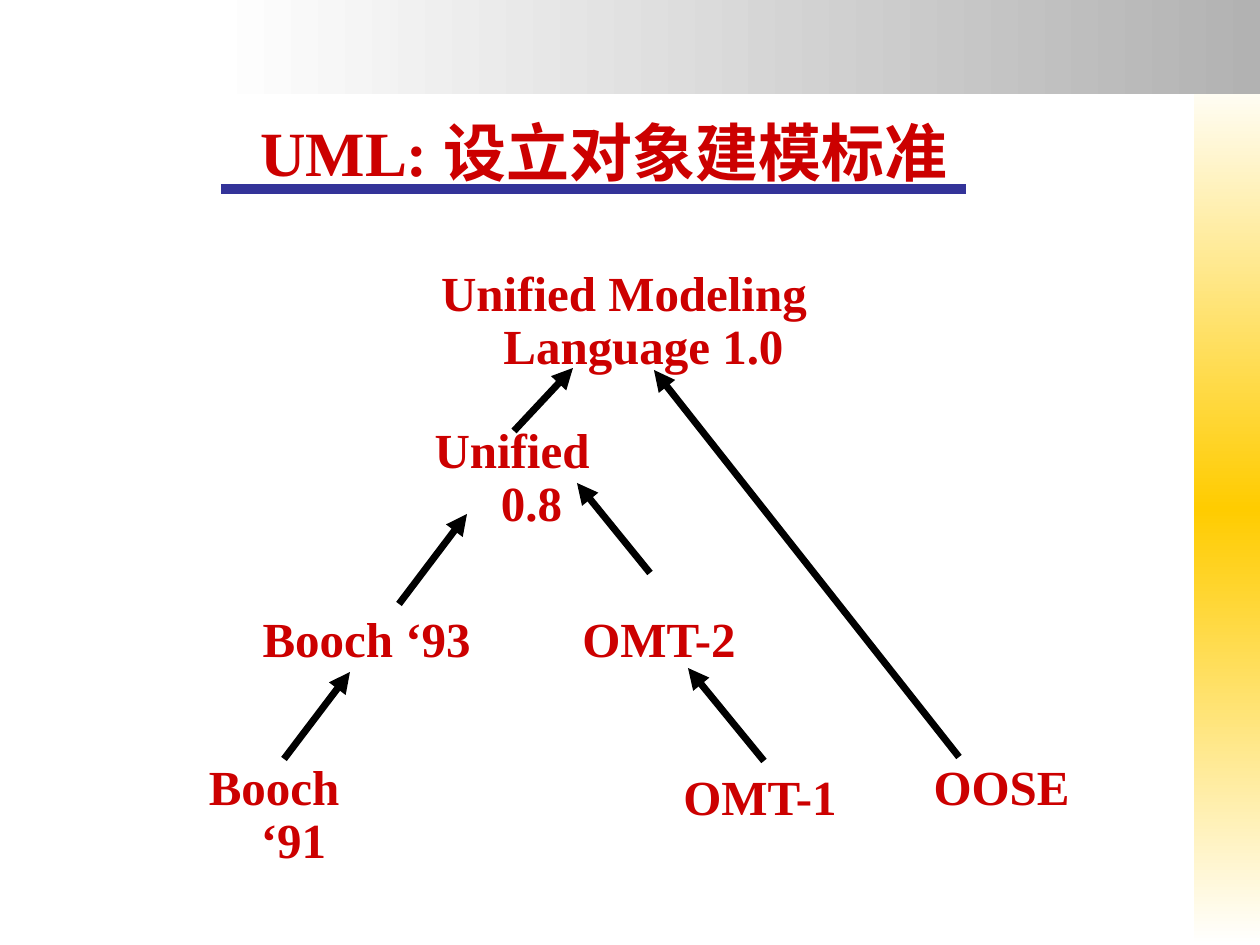
from typing import NamedTuple

from lxml.etree import SubElement
from pptx import Presentation
from pptx.dml.color import RGBColor
from pptx.enum.shapes import MSO_CONNECTOR as Connector, MSO_SHAPE as Preset
from pptx.enum.text import MSO_ANCHOR as Anchor, MSO_AUTO_SIZE as AutoSize, PP_ALIGN as Align
from pptx.oxml.ns import qn
from pptx.util import Emu, Pt

PX_PER_INCH = 126
RED, BLACK, WHITE = "CC0000", "000000", "FFFFFF"
GREY, GOLD, BLUE = "B2B2B2", "FFCC00", "333399"


class Band(NamedTuple):
    left: int
    top: int
    width: int
    height: int
    colors: tuple[str, ...]
    angle: int


class Method(NamedTuple):
    text: str
    left: int
    top: int
    width: int
    height: int
    inset: int = 13
    indent: int = 39
    spacing: float = 0.9


class Line(NamedTuple):
    x1: int
    y1: int
    x2: int
    y2: int
    color: str = BLACK
    weight: float = 4
    arrow: bool = True


BANDS = [
    Band(1194, 73, 66, 872, (WHITE, GOLD, WHITE), 90),
    Band(210, 0, 1050, 94, (WHITE, GREY), 0),
]
METHODS = [
    Method("Unified 0.8", 388, 420, 248, 118),
    Method("OMT-1", 659, 770, 202, 62, inset=11, indent=35, spacing=0.85),
    Method("Booch ‘91", 158, 757, 232, 118),
    Method("OMT-2", 552, 609, 214, 66),
    Method("Unified Modeling Language 1.0", 398, 263, 452, 118),
    Method("Booch ‘93", 231, 609, 271, 66),
    Method("OOSE", 911, 757, 181, 66),
]
LINES = [
    Line(650, 573, 577, 483),
    Line(284, 759, 350, 672),
    Line(399, 604, 467, 514),
    Line(764, 761, 688, 668),
    Line(514, 431, 573, 368),
    Line(959, 757, 654, 370),
    Line(221, 189, 966, 189, color=BLUE, weight=5.5, arrow=False),
]


def px(length: int) -> Emu:
    return Emu(round(length * 914400 / PX_PER_INCH))


def rgb(color: str) -> RGBColor:
    return RGBColor.from_string(color)


def write_text(shape, text: str, *, size: float, inset: tuple[int, int] = (0, 0),
               anchor=Anchor.TOP, indent: int = 0, spacing: float = 1.0) -> None:
    """Fill the shape with one centred bold red paragraph; indent is hanging."""
    frame = shape.text_frame
    frame.word_wrap = True
    frame.auto_size = AutoSize.NONE
    frame.vertical_anchor = anchor
    frame.margin_left = frame.margin_right = px(inset[0])
    frame.margin_top = frame.margin_bottom = px(inset[1])
    para = frame.paragraphs[0]
    para.alignment = Align.CENTER
    para.line_spacing = spacing
    properties = para._p.get_or_add_pPr()
    properties.set("marL", str(px(indent)))
    properties.set("indent", str(px(-indent)))
    span = para.add_run()
    span.text = text
    span.font.name = "Times New Roman"
    span.font.size = Pt(size)
    span.font.bold = True
    span.font.color.rgb = rgb(RED)


def add_rectangle(page, item: Band | Method):
    shape = page.shapes.add_shape(
        Preset.RECTANGLE, px(item.left), px(item.top), px(item.width), px(item.height))
    shape.shadow.inherit = False
    shape.line.fill.background()
    return shape


def draw_band(page, band: Band) -> None:
    shape = add_rectangle(page, band)
    shape.fill.gradient()
    shape.fill.gradient_angle = band.angle
    stops = shape._element.spPr.find(".//" + qn("a:gsLst"))
    stops.clear()
    for index, color in enumerate(band.colors):
        position = 100000 * index // (len(band.colors) - 1)
        stop = SubElement(stops, qn("a:gs"), pos=str(position))
        SubElement(stop, qn("a:srgbClr"), val=color)


def draw_method(page, method: Method) -> None:
    box = add_rectangle(page, method)
    box.fill.solid()
    box.fill.fore_color.rgb = rgb(WHITE)
    write_text(box, method.text, size=28, inset=(method.inset, 6),
               indent=method.indent, spacing=method.spacing)


def draw_line(page, line: Line) -> None:
    connector = page.shapes.add_connector(
        Connector.STRAIGHT, px(line.x1), px(line.y1), px(line.x2), px(line.y2))
    connector.line.color.rgb = rgb(line.color)
    connector.line.width = Pt(line.weight)
    if line.arrow:
        SubElement(connector.line._get_or_add_ln(), qn("a:tailEnd"), type="triangle")
    SubElement(connector._element.spPr, qn("a:effectLst"))


def main() -> None:
    deck = Presentation()
    deck.slide_width, deck.slide_height = px(1260), px(945)
    page = deck.slides.add_slide(deck.slide_layouts.get_by_name("Title Only"))
    title = page.shapes.title
    title.left, title.top, title.width, title.height = px(42), px(31), px(1124), px(158)
    write_text(title, "UML: 设立对象建模标准", size=36, anchor=Anchor.BOTTOM)
    for band in BANDS:
        draw_band(page, band)
    # The title stays in front of the bands it overlaps.
    page.shapes._spTree.append(title._element)
    for method in METHODS:
        draw_method(page, method)
    for line in LINES:
        draw_line(page, line)
    deck.save("out.pptx")


if __name__ == "__main__":
    main()
